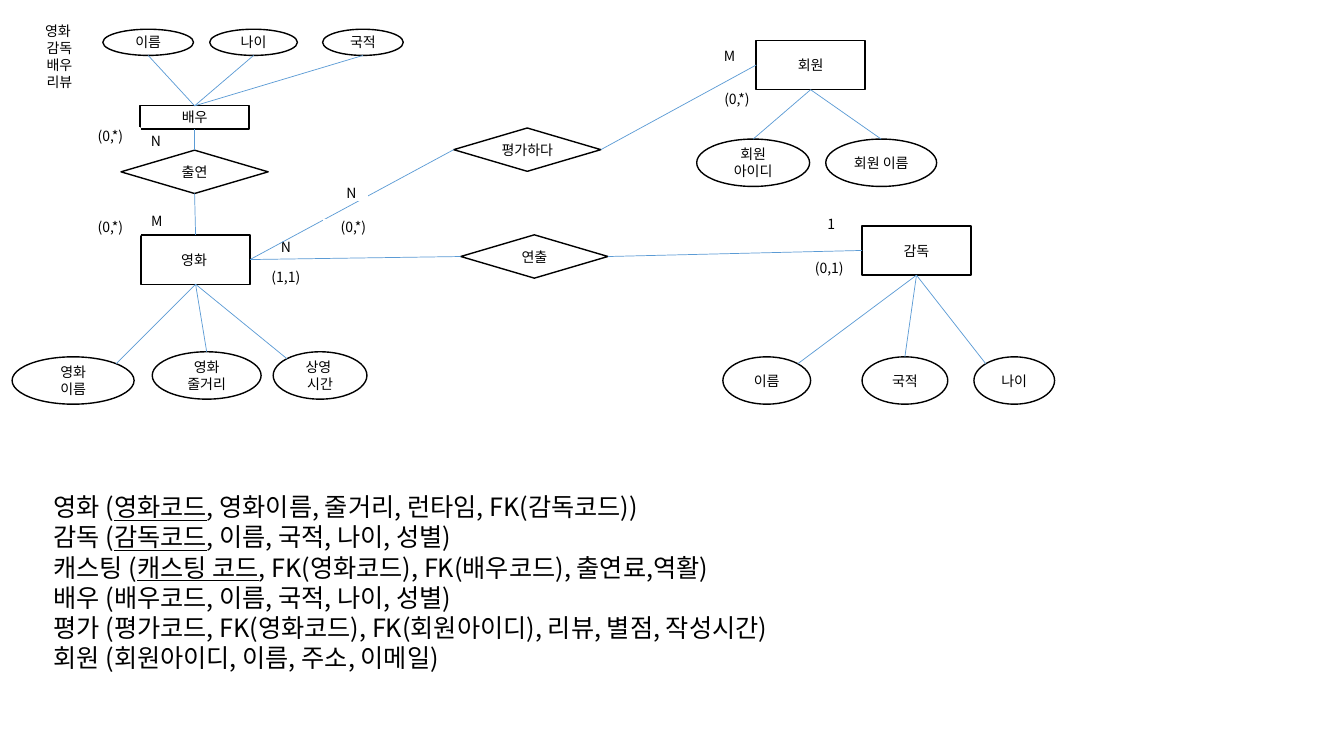
"""Builds the film database slide: an entity diagram above its relational schema."""
from dataclasses import dataclass

import lxml.etree
import pptx
import pptx.dml.color
import pptx.enum.shapes
import pptx.enum.text
import pptx.oxml.ns
import pptx.util

Inches = pptx.util.Inches
Pt = pptx.util.Pt
RGB = pptx.dml.color.RGBColor
KIND = pptx.enum.shapes.MSO_SHAPE
ALIGN = pptx.enum.text.PP_ALIGN
qn = pptx.oxml.ns.qn

SITES = {"top": 0, "left": 1, "bottom": 2, "right": 3}
CORNERS = {"top left": 0.146, "top right": 0.854}
CORNER_DROP = 0.146


@dataclass
class Theme:
    font: str = "Noto Sans CJK KR"
    ink: RGB = RGB(0, 0, 0)
    paper: RGB = RGB(255, 255, 255)
    link: RGB = RGB(0x5B, 0x9B, 0xD5)
    small: float = 10
    large: float = 18
    border: float = 1
    thin: float = 0.5


def apply(target, values):
    for name, value in values.items():
        setattr(target, name, value)


class Diagram:
    def __init__(self, slide, theme):
        self.slide = slide
        self.theme = theme

    def add_span(self, para, text, size, underline=False):
        span = para.add_run()
        span.text = text
        apply(span.font, {"name": self.theme.font, "size": Pt(size), "underline": underline})
        span.font.color.rgb = self.theme.ink
        east = lxml.etree.SubElement(span._r.get_or_add_rPr(), qn("a:ea"))
        east.set("typeface", self.theme.font)

    def box(self, kind, text, left, top, width, height, border=None):
        box = self.slide.shapes.add_shape(
            kind, Inches(left), Inches(top), Inches(width), Inches(height))
        box.shadow.inherit = False
        box.fill.solid()
        box.fill.fore_color.rgb = self.theme.paper
        box.line.color.rgb = border or self.theme.ink
        box.line.width = Pt(self.theme.border)
        frame = box.text_frame
        apply(frame, {"word_wrap": True,
                      "vertical_anchor": pptx.enum.text.MSO_ANCHOR.MIDDLE})
        for index, line in enumerate(text.split("\n")):
            para = frame.add_paragraph() if index else frame.paragraphs[0]
            para.alignment = ALIGN.CENTER
            self.add_span(para, line, self.theme.small)
        return box

    def entity(self, text, left, top, height=0.49):
        return self.box(KIND.RECTANGLE, text, left, top, 1.08, height)

    def relation(self, text, left, top):
        return self.box(KIND.DIAMOND, text, left, top, 1.46, 0.43)

    def label(self, text, left, top, width=0.31, height=0.16):
        return self.box(KIND.RECTANGLE, text, left, top, width, height, self.theme.paper)

    def link(self, start, start_site, end, end_site):
        x = end.left + int(end.width * CORNERS.get(end_site, 0))
        y = end.top + int(end.height * CORNER_DROP)
        line = self.slide.shapes.add_connector(
            pptx.enum.shapes.MSO_CONNECTOR.STRAIGHT, start.left, start.top, x, y)
        line.begin_connect(start, SITES[start_site])
        if end_site in SITES:
            line.end_connect(end, SITES[end_site])
        line.line.color.rgb = self.theme.link
        line.line.width = Pt(self.theme.thin)
        lxml.etree.SubElement(line._element.spPr, qn("a:effectLst"))

    def attributes(self, owner, side, top, height, items):
        for text, left, width, site in items:
            oval = self.box(KIND.OVAL, text, left, top, width, height)
            self.link(owner, side, oval, site)

    def schema(self, rows):
        body = self.slide.placeholders[1]
        apply(body, {"left": Inches(0.43), "top": Inches(4.2),
                     "width": Inches(9.63), "height": Inches(3.15)})
        frame = body.text_frame
        apply(frame, {"word_wrap": True,
                      "auto_size": pptx.enum.text.MSO_AUTO_SIZE.NONE,
                      "vertical_anchor": pptx.enum.text.MSO_ANCHOR.MIDDLE})
        for index, (table, key, rest) in enumerate(rows):
            para = frame.add_paragraph() if index else frame.paragraphs[0]
            apply(para, {"space_before": Pt(0), "alignment": ALIGN.LEFT})
            properties = para._p.get_or_add_pPr()
            properties.set("marL", "0")
            properties.set("indent", "0")
            lxml.etree.SubElement(properties, qn("a:buNone"))
            self.add_span(para, table + " (", self.theme.large)
            if key:
                self.add_span(para, key, self.theme.large, True)
            self.add_span(para, rest + ")", self.theme.large)


deck = pptx.Presentation()
apply(deck, {"slide_width": Inches(13.33), "slide_height": Inches(7.5)})
page = deck.slides.add_slide(deck.slide_layouts[1])
title = page.shapes.title._element
title.getparent().remove(title)
diagram = Diagram(page, Theme())

diagram.schema([
    ("영화", "영화코드", ", 영화이름, 줄거리, 런타임, FK(감독코드)"),
    ("감독", "감독코드", ", 이름, 국적, 나이, 성별"),
    ("캐스팅", "캐스팅 코드", ", FK(영화코드), FK(배우코드), 출연료,역활"),
    ("배우", "", "배우코드, 이름, 국적, 나이, 성별"),
    ("평가", "", "평가코드, FK(영화코드), FK(회원아이디), 리뷰, 별점, 작성시간"),
    ("회원", "", "회원아이디, 이름, 주소, 이메일"),
])
diagram.label("영화 \n감독\n배우\n리뷰", 0.2, 0.21, 0.78, 0.7)

film = diagram.entity("영화 ", 1.4, 2.33)
director = diagram.entity("감독", 8.55, 2.24)
actor = diagram.entity("배우", 1.39, 1.05, 0.23)
member = diagram.entity("회원", 7.5, 0.4)
directing = diagram.relation("연출", 4.57, 2.33)
casting = diagram.relation("출연", 1.2, 1.49)
rating = diagram.relation("평가하다", 4.5, 1.27)

diagram.attributes(film, "bottom", 3.49, 0.47, [
    ("영화\n줄거리", 1.51, 1.08, "top"), ("상영 \n시간", 2.71, 0.93, "top left")])
diagram.attributes(film, "bottom", 3.54, 0.47, [("영화\n이름", 0.12, 1.21, "top right")])
diagram.attributes(director, "bottom", 3.54, 0.47, [
    ("이름", 7.17, 0.87, "top right"), ("국적", 8.55, 0.85, "top"),
    ("나이", 9.66, 0.8, "top left")])
diagram.attributes(actor, "top", 0.29, 0.26, [
    ("이름", 1.02, 0.9, "bottom"), ("나이", 2.08, 0.87, "bottom"),
    ("국적", 3.2, 0.8, "bottom")])
diagram.attributes(member, "bottom", 1.38, 0.47, [
    ("회원 아이디", 6.91, 1.12, "top"), ("회원 이름", 8.19, 1.1, "top")])

diagram.link(directing, "left", film, "right")
diagram.link(directing, "right", director, "left")
diagram.label("N", 2.67, 2.35, 0.33, 0.2)
diagram.label("1", 8.08, 2.11, 0.33, 0.23)
diagram.link(casting, "bottom", film, "top")
diagram.link(actor, "bottom", casting, "top")
diagram.link(member, "left", rating, "right")
diagram.link(rating, "left", film, "right")

for text, left, top in [("N", 1.39, 1.32), ("M", 1.4, 2.11),
                        ("N", 3.33, 1.83), ("M", 7.08, 0.48)]:
    diagram.label(text, left, top)
for text, left, top, width in [
        ("(0,1)", 7.97, 2.58, 0.51), ("(1,1)", 2.54, 2.67, 0.59),
        ("(0,*)", 0.8, 1.27, 0.59), ("(0,*)", 0.8, 2.18, 0.59),
        ("(0,*)", 7.06, 0.91, 0.5), ("(0,*)", 3.21, 2.18, 0.59)]:
    diagram.label(text, left, top, width, 0.15)

deck.save("out.pptx")
